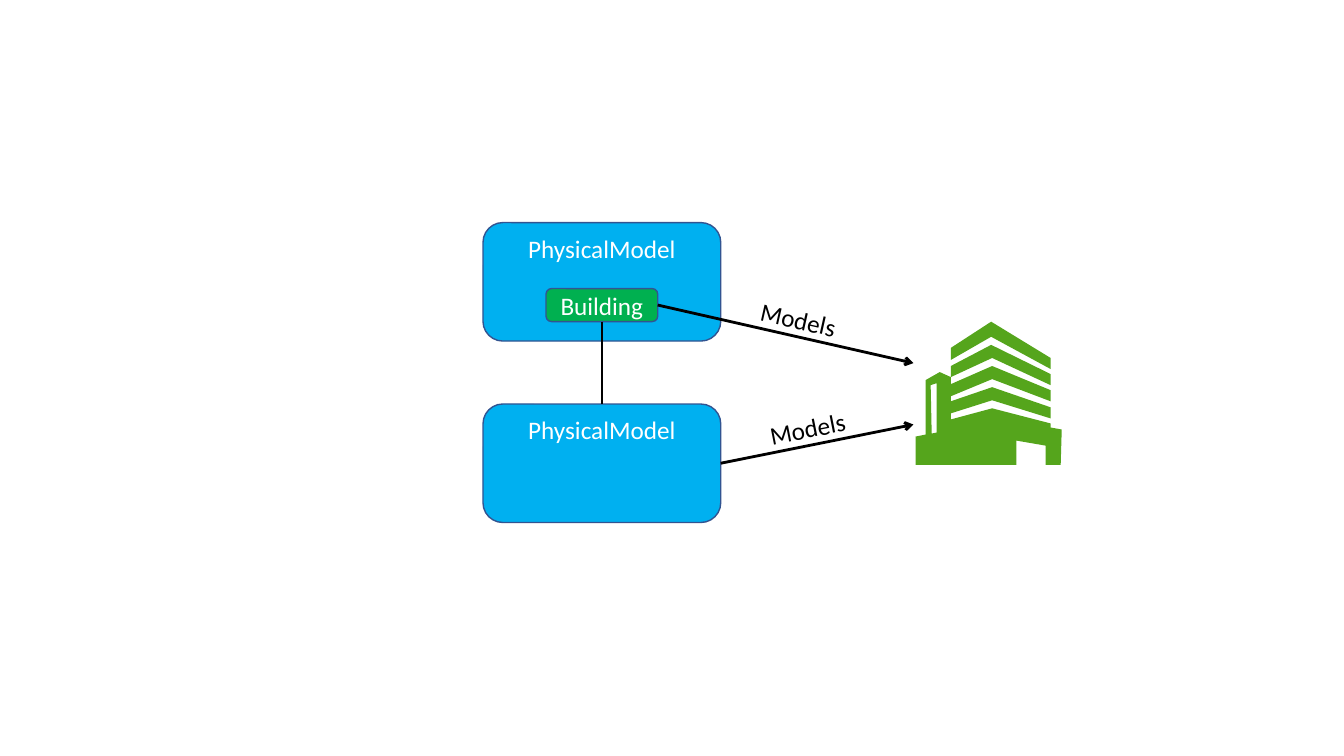
from collections import namedtuple
from dataclasses import dataclass
from math import atan2, degrees

from lxml.etree import SubElement
from pptx import Presentation
from pptx.dml.color import RGBColor
from pptx.enum.shapes import MSO_CONNECTOR, MSO_SHAPE
from pptx.enum.text import MSO_ANCHOR, PP_ALIGN
from pptx.oxml.ns import qn
from pptx.util import Inches, Pt


@dataclass(frozen=True)
class Theme:
    """Colours, type and line widths."""
    font: str = "Calibri"
    size: float = 18
    card: str = "00B0F0"
    tag: str = "00B050"
    edge: str = "325491"
    tower: str = "55A51C"
    light: str = "FFFFFF"
    dark: str = "000000"
    thin: float = 1
    stem: float = 1.75
    arrow: float = 2


THEME = Theme()
WIDE, HIGH = Inches(13.33), Inches(7.5)
COL, ROW = WIDE / 160, HIGH / 90
Box = namedtuple("Box", "left top width height")

SLOT = [(21, 61), (15, 63), (16, 111), (21, 110)]
WALLS = [
    (75, 23), (134, 52), (134, 63), (76, 36), (35, 55), (35, 62),
    (76, 44), (134, 68), (134, 79), (76, 57), (35, 74), (35, 79),
    (76, 65), (134, 85), (134, 96), (76, 78), (35, 91), (35, 97),
    (76, 86), (134, 101), (134, 105), (145, 107), (144, 142), (129, 142),
    (129, 123), (100, 118), (100, 142), (0, 142), (0, 114), (10, 112),
    (10, 58), (24, 50), (35, 55), (35, 44),
]
ROOF = [(75, 0), (134, 36), (134, 47), (75, 15), (35, 38), (35, 26)]


def grid(left, top, width, height):
    """Turn columns and rows into a box on the slide."""
    return Box(*map(round, (left * COL, top * ROW, width * COL, height * ROW)))


def paint(shape, color):
    """Fill a shape and drop its shadow."""
    shape.shadow.inherit = False
    shape.fill.solid()
    shape.fill.fore_color.rgb = RGBColor.from_string(color)


def write(shape, text, color, anchor):
    """Set one centred paragraph."""
    frame = shape.text_frame
    frame.vertical_anchor = anchor
    line = frame.paragraphs[0]
    line.text = text
    line.alignment = PP_ALIGN.CENTER
    line.font.name = THEME.font
    line.font.size = Pt(THEME.size)
    line.font.color.rgb = RGBColor.from_string(color)


def panel(slide, box, text, color, anchor):
    """Draw a round panel with its name."""
    shape = slide.shapes.add_shape(MSO_SHAPE.ROUNDED_RECTANGLE, *box)
    paint(shape, color)
    shape.line.color.rgb = RGBColor.from_string(THEME.edge)
    shape.line.width = Pt(THEME.thin)
    write(shape, text, THEME.light, anchor)
    return shape


def link(slide, start, site, end, width, head=False):
    """Draw a line from a panel's site to a point."""
    line = slide.shapes.add_connector(MSO_CONNECTOR.STRAIGHT, 0, 0, *end)
    line.begin_connect(start, site)
    line.line.color.rgb = RGBColor.from_string(THEME.dark)
    line.line.width = Pt(width)
    if head:
        SubElement(line.line._get_or_add_ln(), qn("a:tailEnd"), type="arrow")
    SubElement(line._element.spPr, qn("a:effectLst"))
    return line


def models(slide, box):
    """Place two cards, the tag and the stem that joins them."""
    tall = round(box.height * 0.395)
    tops = box.top, box.top + box.height - tall
    upper, lower = [
        panel(slide, Box(box.left, top, box.width, tall), "PhysicalModel",
              THEME.card, MSO_ANCHOR.TOP)
        for top in tops
    ]
    wide = round(box.width * 0.47)
    spot = Box(box.left + (box.width - wide) // 2,
               box.top + round(box.height * 0.22),
               wide, round(box.height * 0.11))
    tag = panel(slide, spot, "Building", THEME.tag, MSO_ANCHOR.MIDDLE)
    stem = link(slide, tag, 2, (0, 0), THEME.stem)
    stem.end_connect(lower, 0)
    return tag, lower


def tower(slide, box):
    """Draw the building from its outlines."""
    pen = slide.shapes.build_freeform(*SLOT[0], scale=box.width / 145)
    pen.add_line_segments(SLOT[1:])
    for ring in (WALLS, ROOF):
        pen.move_to(*ring[0])
        pen.add_line_segments(ring[1:])
    shape = pen.convert_to_shape(box.left, box.top)
    paint(shape, THEME.tower)
    shape.line.fill.background()


def relate(slide, box, start, level, share):
    """Draw an arrow to a box's left side and a label along it."""
    end = box.left - round(COL / 4), box.top + round(box.height * level)
    line = link(slide, start, 3, end, THEME.arrow, True)
    run, rise = end[0] - line.begin_x, end[1] - line.begin_y
    wide, tall = round(11.6 * COL), round(4.8 * ROW)
    left = line.begin_x + round(run * share) - wide // 2
    top = line.begin_y + round(rise * share - 2.1 * ROW) - tall // 2
    label = slide.shapes.add_textbox(left, top, wide, tall)
    label.text_frame.word_wrap = False
    write(label, "Models", THEME.dark, MSO_ANCHOR.TOP)
    label.rotation = degrees(atan2(rise, run))


def build():
    """Make the deck and save it."""
    deck = Presentation()
    deck.slide_width, deck.slide_height = WIDE, HIGH
    slide = deck.slides.add_slide(deck.slide_layouts[6])
    tag, lower = models(slide, grid(57.5, 26.5, 28.3, 35.7))
    place = grid(109, 38.3, 17.4, 17)
    tower(slide, place)
    relate(slide, place, tag, 0.29, 0.55)
    relate(slide, place, lower, 0.72, 0.45)
    deck.save("out.pptx")


build()
